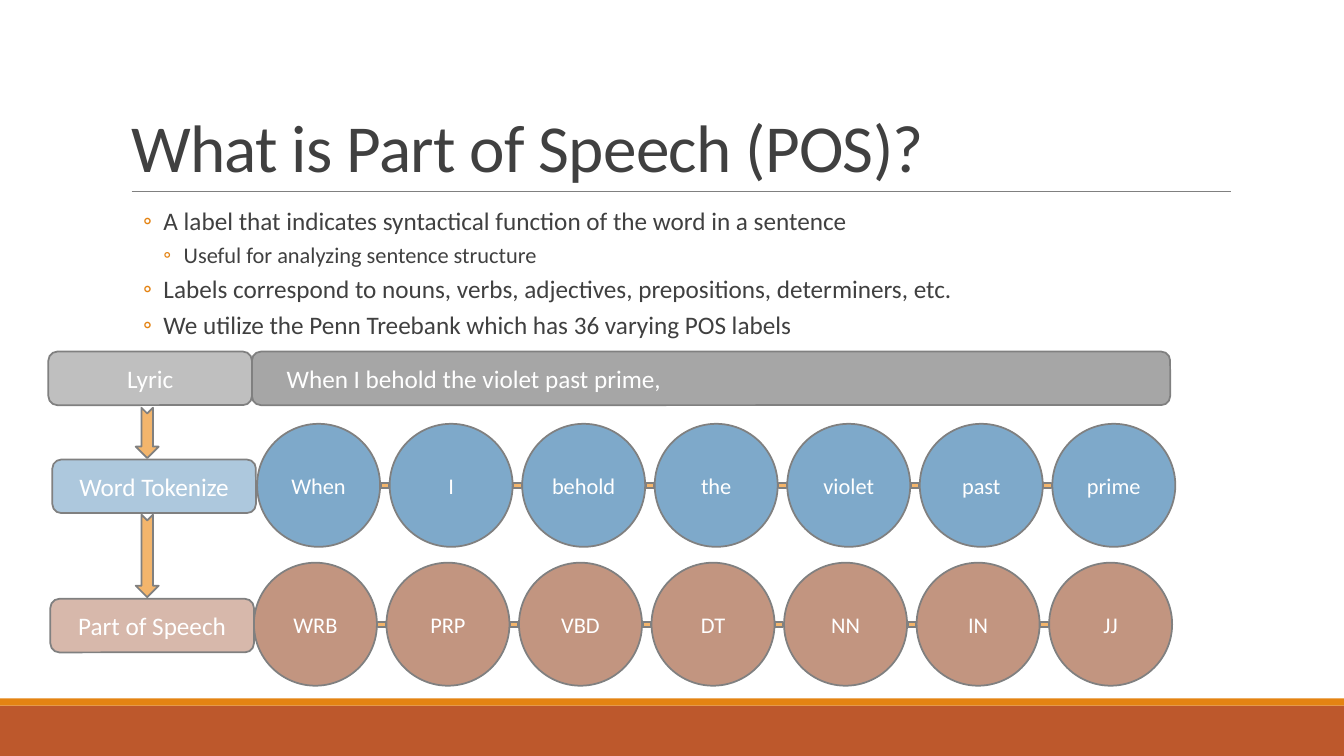
import lxml.etree
import pptx
import pptx.dml.color
import pptx.enum.shapes
import pptx.enum.text
import pptx.oxml.ns
import pptx.util

Cm = pptx.util.Cm
Pt = pptx.util.Pt
RGB = pptx.dml.color.RGBColor
KIND = pptx.enum.shapes.MSO_SHAPE
ALIGN = pptx.enum.text.PP_ALIGN
ANCHOR = pptx.enum.text.MSO_ANCHOR
FIT = pptx.enum.text.MSO_AUTO_SIZE
qn = pptx.oxml.ns.qn

WHITE = RGB(0xFF, 0xFF, 0xFF)
DARK = RGB(0x40, 0x40, 0x40)
GRAY = RGB(0x80, 0x80, 0x80)
SILVER = RGB(0xBF, 0xBF, 0xBF)
STEEL = RGB(0xA6, 0xA6, 0xA6)
RUST = RGB(0xBD, 0x58, 0x2C)
ORANGE = RGB(0xE4, 0x83, 0x12)
PEACH = RGB(0xF3, 0xB5, 0x6C)
BLUE = RGB(0x7E, 0xA9, 0xCA)
PALE = RGB(0xAD, 0xC8, 0xDD)
BROWN = RGB(0xC2, 0x95, 0x80)
PINK = RGB(0xD7, 0xB8, 0xAB)


def style(para, size, color):
    for run in para.runs:
        run.font.name = "Calibri"
        run.font.size = Pt(size)
        run.font.color.rgb = color


def draw(kind, left, top, width, height, fill, text="", size=18, edge=True):
    shape = slide.shapes.add_shape(kind, Cm(left), Cm(top), Cm(width), Cm(height))
    shape.shadow.inherit = False
    shape.fill.solid()
    shape.fill.fore_color.rgb = fill
    if edge:
        shape.line.color.rgb = GRAY
        shape.line.width = Pt(1.25)
    else:
        shape.line.fill.background()
    if text:
        shape.text_frame.text = text
        shape.text_frame.vertical_anchor = ANCHOR.MIDDLE
        para = shape.text_frame.paragraphs[0]
        para.alignment = ALIGN.CENTER
        style(para, size, WHITE)
    return shape


deck = pptx.Presentation()
deck.slide_width = Cm(33.87)
deck.slide_height = Cm(19.05)
slide = deck.slides.add_slide(deck.slide_layouts[1])

draw(KIND.RECTANGLE, 0, 17.78, 33.87, 1.27, RUST, edge=False)
draw(KIND.RECTANGLE, 0, 17.6, 33.87, 0.18, ORANGE, edge=False)
rule = slide.shapes.add_connector(
    pptx.enum.shapes.MSO_CONNECTOR.STRAIGHT, Cm(3.32), Cm(4.83), Cm(31.01), Cm(4.83))
rule.line.color.rgb = GRAY
rule.line.width = Pt(0.5)
lxml.etree.SubElement(rule._element.spPr, qn("a:effectLst"))

title = slide.shapes.title
title.left, title.top, title.width, title.height = Cm(3.05), Cm(0.79), Cm(27.94), Cm(4.04)
title.text_frame.text = "What is Part of Speech (POS)?"
title.text_frame.auto_size = FIT.NONE
title.text_frame.vertical_anchor = ANCHOR.BOTTOM
head = title.text_frame.paragraphs[0]
head.alignment = ALIGN.LEFT
head.line_spacing = 0.85
style(head, 48, DARK)
head.runs[0].font._element.set("spc", "-50")

body = slide.placeholders[1]
body.left, body.top, body.width, body.height = Cm(3.05), Cm(5.13), Cm(27.94), Cm(11.18)
frame = body.text_frame
points = [
    (1, "A label that indicates syntactical function of the word in a sentence"),
    (2, "Useful for analyzing sentence structure"),
    (1, "Labels correspond to nouns, verbs, adjectives, prepositions, determiners, etc."),
    (1, "We utilize the Penn Treebank which has 36 varying POS labels"),
]
frame.text = "\n".join(text for level, text in points)
frame.auto_size = FIT.NONE
frame.margin_left = frame.margin_right = 0
for para, (level, text) in zip(frame.paragraphs, points):
    para.level = level
    para.line_spacing = 0.9
    para.space_before = Pt(2)
    para.space_after = Pt(4)
    style(para, 20 - 2 * level, DARK)
    props = para._p.get_or_add_pPr()
    props.set("marL", str(Cm(0.56 + 0.51 * level)))
    props.set("indent", str(-Cm(0.51)))
    tint = lxml.etree.SubElement(props, qn("a:buClr"))
    lxml.etree.SubElement(tint, qn("a:srgbClr")).set("val", str(ORANGE))
    lxml.etree.SubElement(props, qn("a:buFont")).set("typeface", "Calibri")
    lxml.etree.SubElement(props, qn("a:buChar")).set("char", "◦")

for left, top, fill, text in [
    (1.22, 8.86, SILVER, "Lyric"),
    (1.32, 11.58, PALE, "Word Tokenize"),
    (1.27, 15.09, PINK, "Part of Speech"),
]:
    draw(KIND.ROUNDED_RECTANGLE, left, top, 5.13, 1.35, fill, text)

lyric = draw(KIND.ROUNDED_RECTANGLE, 6.35, 8.86, 23.14, 1.35, STEEL,
             "When I behold the violet past prime,")
line = lyric.text_frame.paragraphs[0]
line.alignment = ALIGN.LEFT
line._p.get_or_add_pPr().set("marL", str(Cm(0.56)))

for mid, size in [(10.91, 1.27), (14.01, 2.08)]:
    arrow = draw(KIND.NOTCHED_RIGHT_ARROW, 3.71 - size / 2, mid - 0.29, size, 0.58, PEACH)
    arrow.rotation = 90

ball, pitch = 3.1, 3.34
words = ["When", "I", "behold", "the", "violet", "past", "prime"]
tags = ["WRB", "PRP", "VBD", "DT", "NN", "IN", "JJ"]
for start, top, fill, labels in [(6.48, 10.68, BLUE, words), (6.4, 14.18, BROWN, tags)]:
    for i, label in enumerate(labels):
        left = start + i * pitch
        draw(KIND.OVAL, left, top, ball, ball, fill, label, 16)
        if i < len(labels) - 1:
            draw(KIND.MATH_MINUS, left + ball - 0.02, top + 1.29, 0.28, 0.53, PEACH)

deck.save("out.pptx")
